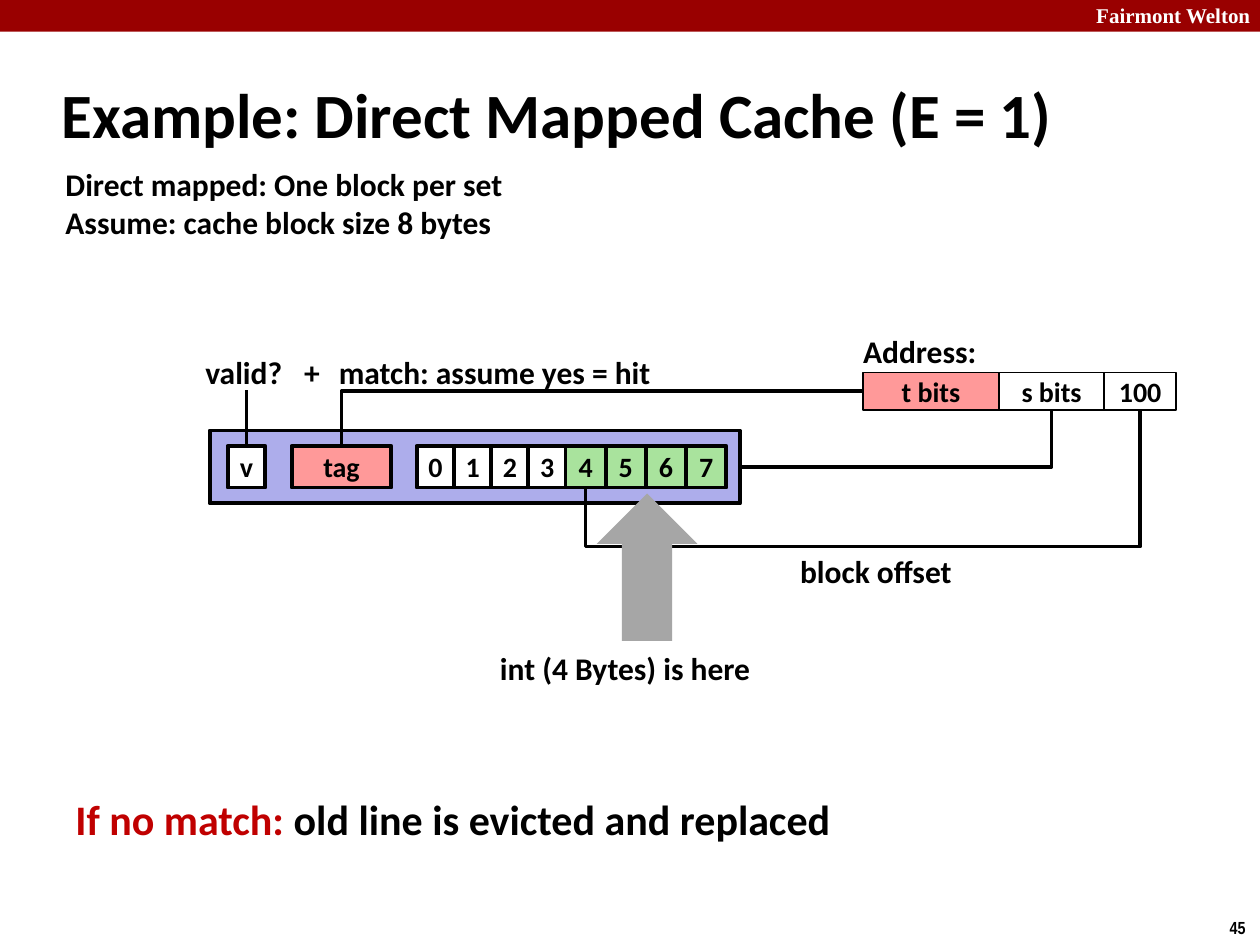
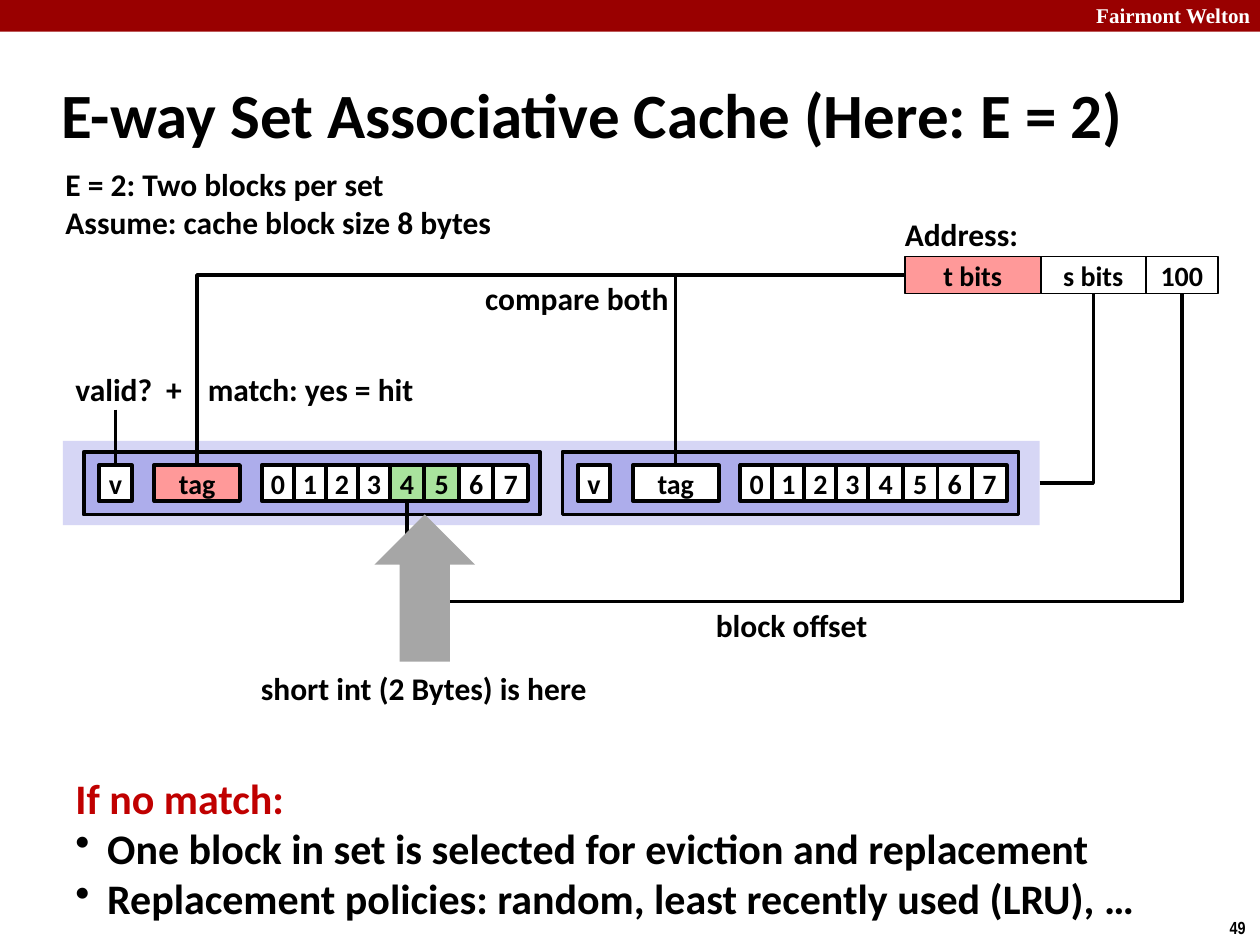
"""Build two slides on direct mapped and set associative caches."""
from lxml.etree import SubElement
from pptx import Presentation
from pptx.dml.color import RGBColor
from pptx.enum.shapes import MSO_CONNECTOR, MSO_SHAPE
from pptx.enum.text import MSO_ANCHOR, PP_ALIGN
from pptx.oxml.ns import qn
from pptx.util import Cm, Pt

RECTANGLE, UP_ARROW = MSO_SHAPE.RECTANGLE, MSO_SHAPE.UP_ARROW
STRAIGHT, ELBOW = MSO_CONNECTOR.STRAIGHT, MSO_CONNECTOR.ELBOW
TOP, MIDDLE = MSO_ANCHOR.TOP, MSO_ANCHOR.MIDDLE
LEFT, CENTER = PP_ALIGN.LEFT, PP_ALIGN.CENTER
SITE_TOP, SITE_LEFT, SITE_BOTTOM, SITE_RIGHT = range(4)

BLACK = RGBColor(0, 0, 0)
WHITE = RGBColor(255, 255, 255)
BAND_RED = RGBColor(0x99, 0, 0)
WARNING_RED = RGBColor(0xC0, 0, 0)
TAG_PINK = RGBColor(0xFF, 0x99, 0x99)
LINE_BLUE = RGBColor(0xAD, 0xAD, 0xEB)
SET_BLUE = RGBColor(0xD6, 0xD6, 0xF5)
HIT_GREEN = RGBColor(0xA9, 0xE3, 0x9D)
ARROW_GRAY = RGBColor(0xA6, 0xA6, 0xA6)

TITLE = {"name": "Calibri", "size": Pt(36), "bold": True}
NOTE = {**TITLE, "size": Pt(24)}
LABEL = {**TITLE, "size": Pt(18)}
CELL = {**TITLE, "size": Pt(16)}
BRAND = {"name": "Times New Roman", "size": Pt(12), "bold": True}
PAGE_NUMBER = {"name": "Arial Narrow", "size": Pt(10), "bold": True}

BYTES = range(8)
LABEL_HEIGHT = 1.02


def add_run(paragraph, text, font_format, color=BLACK):
    """Append a run with the given font format and colour."""
    run = paragraph.add_run()
    run.text = text
    for attribute, value in font_format.items():
        setattr(run.font, attribute, value)
    run.font.color.rgb = color


def add_bullet(paragraph):
    """Give a paragraph a hanging bullet."""
    properties = paragraph._p.get_or_add_pPr()
    properties.set("marL", str(Cm(0.64)))
    properties.set("indent", str(-Cm(0.64)))
    SubElement(properties, qn("a:buChar")).set("char", "•")


def add_text(slide, box, paragraphs, font_format, wrap=False, anchor=TOP):
    """Add a text box whose paragraphs are lists of (text, colour) runs."""
    frame = slide.shapes.add_textbox(*map(Cm, box)).text_frame
    frame.word_wrap = wrap
    frame.vertical_anchor = anchor
    for index, runs in enumerate(paragraphs):
        paragraph = frame.add_paragraph() if index else frame.paragraphs[0]
        paragraph.alignment = LEFT
        for text, color in runs:
            add_run(paragraph, text, font_format, color)
    return frame


def add_label(slide, left, top, width, text):
    """Add a one-line diagram label."""
    box = (left, top, width, LABEL_HEIGHT)
    add_text(slide, box, [[(text, BLACK)]], LABEL)


def add_block(slide, box, fill, line_width=0, text="", wrap=False, kind=RECTANGLE):
    """Add a filled block with an optional outline and centred text."""
    block = slide.shapes.add_shape(kind, *map(Cm, box))
    block.shadow.inherit = False
    block.fill.solid()
    block.fill.fore_color.rgb = fill
    if line_width:
        block.line.color.rgb = BLACK
        block.line.width = Pt(line_width)
    else:
        block.line.fill.background()
    if text:
        frame = block.text_frame
        frame.word_wrap = wrap
        frame.vertical_anchor = MIDDLE
        frame.paragraphs[0].alignment = CENTER
        add_run(frame.paragraphs[0], text, CELL)
    return block


def style_connector(connector):
    """Make a connector a plain black wire."""
    connector.line.color.rgb = BLACK
    connector.line.width = Pt(2)
    SubElement(connector._element.spPr, qn("a:effectLst"))


def add_elbow(slide, start, start_site, end, end_site):
    """Join two blocks with a wire of one bend, leaving the start sideways."""
    wire = slide.shapes.add_connector(ELBOW, 0, 0, 0, 0)
    wire.begin_connect(start, start_site)
    wire.end_connect(end, end_site)
    wire._element.spPr.find(qn("a:prstGeom")).set("prst", "bentConnector2")
    style_connector(wire)


def add_offset_wire(slide, offset_bits, first_byte, bottom):
    """Join the undersides of two blocks with a wire that dips to bottom."""
    wire = slide.shapes.add_connector(ELBOW, 0, 0, 0, 0)
    wire.begin_connect(offset_bits, SITE_BOTTOM)
    wire.end_connect(first_byte, SITE_BOTTOM)
    drop = Cm(bottom) - wire.begin_y
    span, rise = wire.width, wire.height
    wire.left += (span - rise) // 2
    wire.top += (rise - span) // 2
    wire.width, wire.height = rise, span
    properties = wire._element.spPr
    properties.xfrm.flipH = False
    properties.xfrm.set("rot", str(90 * 60000))
    guide = SubElement(properties.find(qn("a:prstGeom")).find(qn("a:avLst")), qn("a:gd"))
    guide.set("name", "adj1")
    guide.set("fmla", f"val {round(100000 * drop / rise)}")
    style_connector(wire)


def add_valid_wire(slide, valid_bit, top):
    """Draw the wire from the valid label down to the valid bit."""
    center = valid_bit.left + valid_bit.width // 2
    style_connector(slide.shapes.add_connector(STRAIGHT, center, Cm(top), center, valid_bit.top))


def add_address(slide, left, top):
    """Draw the address fields and return them."""
    add_label(slide, left - 0.25, top - 0.95, 2.82, "Address:")
    fields = []
    for text, width, fill in (("t bits", 2.74, TAG_PINK), ("s bits", 2.12, WHITE),
                              ("100", 1.45, WHITE)):
        fields.append(add_block(slide, (left, top, width, 0.75), fill, 1, text, True))
        left += width
    return fields


def add_cache_line(slide, left, top, scale=1.0, tag_fill=TAG_PINK, hit_bytes=()):
    """Draw a cache line and return its frame, valid bit, tag and bytes."""
    def cell(text, offset, width, fill):
        """Add one cell at its scaled place inside the line."""
        box = (left + offset * scale, top + 0.31 * scale, width * scale, 0.84 * scale)
        return add_block(slide, box, fill, 2.25, text)

    frame = add_block(slide, (left, top, 10.69 * scale, 1.47 * scale), LINE_BLUE, 2.25)
    valid_bit = cell("v", 0.36, 0.76, WHITE)
    tag = cell("tag", 1.65, 2.01, tag_fill)
    cells = []
    for byte in BYTES:
        offset = 4.17 + 0.75 * byte + 0.06 * max(byte - 4, 0)
        width = 0.76 if byte < 4 else 0.81
        fill = HIT_GREEN if byte in hit_bytes else WHITE
        cells.append(cell(str(byte), offset, width, fill))
    return frame, valid_bit, tag, cells


def add_data_arrow(slide, left, top):
    """Add the arrow that points at the data bytes."""
    add_block(slide, (left, top, 2.03, 2.97), ARROW_GRAY, kind=UP_ARROW)


def add_cache_slide(prs, number, title, ways):
    """Add a slide with band, title, page number and assumptions."""
    slide = prs.slides.add_slide(prs.slide_layouts[6])
    add_block(slide, (0, 0, 25.4, 0.64), BAND_RED)
    add_text(slide, (21.85, -0.08, 3.63, 0.76), [[("Fairmont Welton", WHITE)]], BRAND)
    add_text(slide, (24.54, 18.36, 0.86, 0.69), [[(number, BLACK)]], PAGE_NUMBER)
    add_text(slide, (0.99, 1.24, 22.91, 2.11), [[(title, BLACK)]], TITLE, True, MIDDLE)
    assumptions = [[(ways, BLACK)], [("Assume: cache block size 8 bytes", BLACK)]]
    add_text(slide, (1.07, 3.2, 9.42, 1.8), assumptions, LABEL, True)
    return slide


def add_direct_mapped(prs):
    """Build the direct mapped slide."""
    slide = add_cache_slide(prs, "45", "Example: Direct Mapped Cache (E = 1)",
                            "Direct mapped: One block per set")
    tag_bits, set_bits, offset_bits = add_address(slide, 17.4, 7.51)
    line, valid_bit, tag, cells = add_cache_line(slide, 4.23, 8.68, hit_bytes=BYTES[4:])
    add_elbow(slide, line, SITE_RIGHT, set_bits, SITE_BOTTOM)
    add_elbow(slide, tag_bits, SITE_LEFT, tag, SITE_TOP)
    add_valid_wire(slide, valid_bit, 7.87)
    add_offset_wire(slide, offset_bits, cells[4], 11.02)
    add_data_arrow(slide, 12.03, 9.95)
    for label in ((3.89, 7, 2.6, "valid?"), (5.88, 7, 0.9, "+"),
                  (6.58, 7, 6.86, "match: assume yes = hit"),
                  (9.83, 12.95, 5.61, "int (4 Bytes) is here"),
                  (15.88, 11, 3.61, "block offset")):
        add_label(slide, *label)
    outcome = [("If no match: ", WARNING_RED), ("old line is evicted and replaced", BLACK)]
    add_text(slide, (1.27, 15.88, 15.93, 1.27), [outcome], NOTE)


def add_set_associative(prs):
    """Build the two-way set associative slide."""
    slide = add_cache_slide(prs, "49", "E-way Set Associative Cache (Here: E = 2)",
                            "E = 2: Two blocks per set")
    tag_bits, set_bits, offset_bits = add_address(slide, 18.24, 5.17)
    cache_set = add_block(slide, (1.27, 8.89, 19.69, 1.7), SET_BLUE)
    scale = 0.86
    _, valid_bit, hit_tag, cells = add_cache_line(slide, 1.69, 9.11, scale,
                                                  hit_bytes=BYTES[4:6])
    _, _, other_tag, _ = add_cache_line(slide, 11.34, 9.11, scale, WHITE)
    add_elbow(slide, cache_set, SITE_RIGHT, set_bits, SITE_BOTTOM)
    for tag in (other_tag, hit_tag):
        add_elbow(slide, tag_bits, SITE_LEFT, tag, SITE_TOP)
    add_valid_wire(slide, valid_bit, 8.26)
    add_offset_wire(slide, offset_bits, cells[4], 12.13)
    add_data_arrow(slide, 7.55, 10.37)
    for label in ((9.53, 5.51, 4.24, "compare both"), (1.27, 7.34, 2.6, "valid?"),
                  (3.1, 7.34, 0.9, "+"), (3.94, 7.34, 4.7, "match: yes = hit"),
                  (14.18, 12.09, 3.61, "block offset"),
                  (5.01, 13.36, 7.14, "short int (2 Bytes) is here")):
        add_label(slide, *label)
    outcome = [
        [("If no match:", WARNING_RED)],
        [("One block in set is selected for eviction and replacement", BLACK)],
        [("Replacement policies: random, least recently used (LRU), …", BLACK)],
    ]
    frame = add_text(slide, (1.27, 15.44, 22.17, 3.33), outcome, NOTE)
    for paragraph in frame.paragraphs[1:]:
        add_bullet(paragraph)


def main():
    """Build and save the presentation."""
    prs = Presentation()
    prs.slide_width, prs.slide_height = Cm(25.4), Cm(19.05)
    add_direct_mapped(prs)
    add_set_associative(prs)
    prs.save("out.pptx")


if __name__ == "__main__":
    main()
